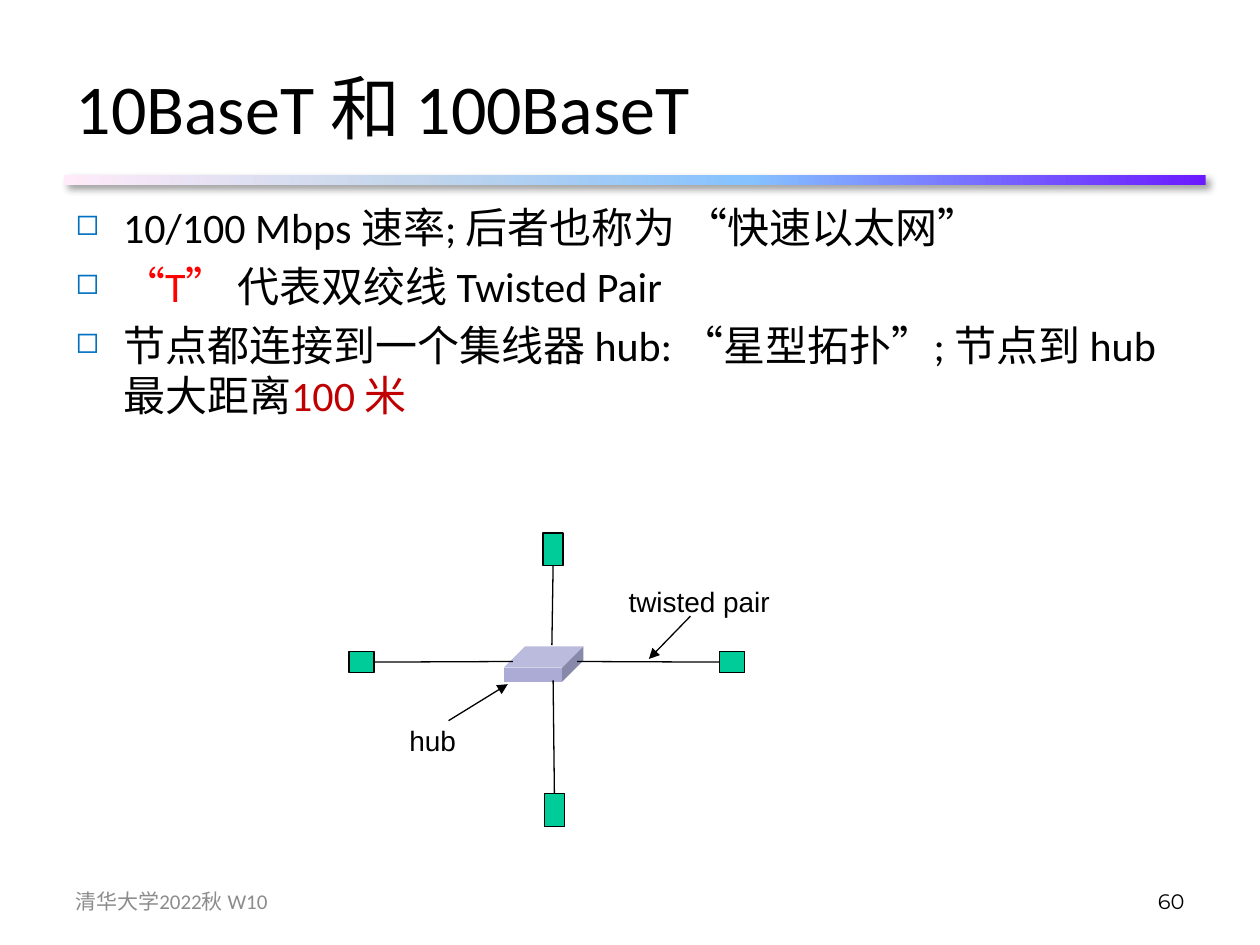
from dataclasses import dataclass

from lxml import etree
from pptx import Presentation
from pptx import util as u
from pptx.dml.color import RGBColor
from pptx.enum import shapes, text
from pptx.oxml import parse_xml
from pptx.oxml.ns import nsdecls, qn


@dataclass(frozen=True)
class Theme:
    black: str = "000000"
    red: str = "FF0000"
    dark_red: str = "C00000"
    bullet: str = "0070C0"
    footer: str = "8C8C8C"
    station: str = "00CC99"
    hub: str = "ABABD6"
    rule_stops: tuple = ((0, "6B19FF"), (40, "85C2FF"), (70, "C4D6EB"), (100, "FFEBFA"))
    body_font: str = "Calibri"
    label_font: str = "Arial"
    number_font: str = "Montserrat"
    title_size: int = 40
    body_size: int = 24
    label_size: int = 16
    footer_size: int = 12
    line_width: float = 0.75


THEME = Theme()


@dataclass(frozen=True)
class Station:
    left: float
    top: float
    width: float
    height: float
    side: int  # connection site that faces the hub
    hub_end: tuple[float, float]


@dataclass(frozen=True)
class Label:
    words: str
    box: tuple[float, float, float, float]
    arrow_start: tuple[float, float]
    arrow_end: tuple[float, float]


@dataclass(frozen=True)
class Run:
    words: str
    color: str = THEME.black


STATIONS = (
    Station(2.77, 5.17, 0.2, 0.17, 3, (4.07, 5.25)),
    Station(5.71, 5.17, 0.2, 0.17, 1, (4.58, 5.25)),
    Station(4.31, 4.23, 0.16, 0.26, 2, (4.38, 5.12)),
    Station(4.32, 6.3, 0.16, 0.26, 0, (4.39, 5.4)),
)
LABELS = (
    Label("twisted pair", (4.89, 4.59, 1.45, 0.37), (5.48, 4.89), (5.15, 5.23)),
    Label("hub", (3.15, 5.69, 0.58, 0.37), (3.56, 5.72), (4.03, 5.43)),
)
BULLETS = (
    (Run("10/100 Mbps 速率; 后者也称为 “快速以太网”"),),
    (Run("“T” ", THEME.red), Run("代表双绞线 Twisted Pair")),
    (Run("节点都连接到一个集线器 hub: “星型拓扑”; 节点到 hub 最大距离"),
     Run("100 米", THEME.dark_red)),
)


def inches(*values: float) -> list:
    return [u.Inches(value) for value in values]


def add_run(paragraph, words: str, *, size: float, font: str = THEME.body_font,
            color: str = THEME.black) -> None:
    run = paragraph.add_run()
    run.text = words
    run.font.size = u.Pt(size)
    run.font.name = font
    run.font.color.rgb = RGBColor.from_string(color)


def add_text(slide, words: str, box: tuple, *, align=text.PP_ALIGN.LEFT,
             anchor=text.MSO_ANCHOR.MIDDLE, wrap: bool = True, **run_format) -> None:
    frame = slide.shapes.add_textbox(*inches(*box)).text_frame
    frame.word_wrap = wrap
    frame.vertical_anchor = anchor
    frame.paragraphs[0].alignment = align
    add_run(frame.paragraphs[0], words, **run_format)


def add_block(slide, kind, box: tuple, color: str, outlined: bool = False):
    shape = slide.shapes.add_shape(kind, *inches(*box))
    shape.shadow.inherit = False
    shape.fill.solid()
    shape.fill.fore_color.rgb = RGBColor.from_string(color)
    if outlined:
        shape.line.color.rgb = RGBColor.from_string(THEME.black)
        shape.line.width = u.Pt(THEME.line_width)
    else:
        shape.line.fill.background()
    return shape


def add_line(slide, start: tuple, end: tuple, arrow: bool = False):
    line = slide.shapes.add_connector(shapes.MSO_CONNECTOR.STRAIGHT, *inches(*start, *end))
    line.line.color.rgb = RGBColor.from_string(THEME.black)
    line.line.width = u.Pt(THEME.line_width)
    properties = line._element.spPr
    etree.SubElement(properties, qn("a:effectLst"))
    if arrow:
        etree.SubElement(properties.find(qn("a:ln")), qn("a:tailEnd"), type="triangle")
    return line


def add_title_rule(slide) -> None:
    """Draw the gradient bar with its soft shadow below the title."""
    bar = add_block(slide, shapes.MSO_SHAPE.RECTANGLE, (0.51, 1.39, 9.06, 0.08), THEME.black)
    bar.fill.gradient()
    bar.fill.gradient_angle = 180
    properties = bar._element.spPr
    stops = properties.find(f"{qn('a:gradFill')}/{qn('a:gsLst')}")
    for stop in list(stops):
        stops.remove(stop)
    for position, color in THEME.rule_stops:
        stop = etree.SubElement(stops, qn("a:gs"), pos=str(position * 1000))
        etree.SubElement(stop, qn("a:srgbClr"), val=color)
    properties.find(qn("a:effectLst")).append(parse_xml(
        f'<a:outerShdw {nsdecls("a")} blurRad="{u.Pt(4)}" dist="{u.Pt(3)}" dir="2700000" '
        f'algn="tl" rotWithShape="0"><a:srgbClr val="{THEME.black}">'
        '<a:alpha val="40000"/></a:srgbClr></a:outerShdw>'))


def add_title(slide, words: str) -> None:
    title = slide.shapes.title
    title.left, title.top, title.width, title.height = inches(0.5, 0.3, 9, 1.09)
    title.text_frame.vertical_anchor = text.MSO_ANCHOR.MIDDLE
    paragraph = title.text_frame.paragraphs[0]
    paragraph.alignment = text.PP_ALIGN.LEFT
    add_run(paragraph, words, size=THEME.title_size)


def set_bullet(paragraph) -> None:
    properties = paragraph._p.get_or_add_pPr()
    properties.set("marL", str(u.Inches(0.38)))
    properties.set("indent", str(-u.Inches(0.38)))
    color = etree.SubElement(properties, qn("a:buClr"))
    etree.SubElement(color, qn("a:srgbClr"), val=THEME.bullet)
    etree.SubElement(properties, qn("a:buSzPct"), val="70000")
    etree.SubElement(properties, qn("a:buChar"), char="◻")


def add_bullets(slide) -> None:
    frame = slide.shapes.add_textbox(*inches(0.5, 1.55, 9, 5.15)).text_frame
    frame.word_wrap = True
    for index, runs in enumerate(BULLETS):
        paragraph = frame.add_paragraph() if index else frame.paragraphs[0]
        set_bullet(paragraph)
        if index:
            paragraph.space_before = u.Pt(THEME.body_size * 0.2)
        for run in runs:
            add_run(paragraph, run.words, size=THEME.body_size, color=run.color)


def add_star_network(slide) -> None:
    hub = add_block(slide, shapes.MSO_SHAPE.CUBE, (4, 5.13, 0.63, 0.28), THEME.hub)
    hub.adjustments[0] = 0.6
    for station in STATIONS:
        box = (station.left, station.top, station.width, station.height)
        node = add_block(slide, shapes.MSO_SHAPE.RECTANGLE, box, THEME.station, outlined=True)
        cable = add_line(slide, station.hub_end, station.hub_end)
        cable.end_connect(node, station.side)
    for label in LABELS:
        add_text(slide, label.words, label.box, anchor=text.MSO_ANCHOR.TOP, wrap=False,
                 size=THEME.label_size, font=THEME.label_font)
        add_line(slide, label.arrow_start, label.arrow_end, arrow=True)


def main() -> None:
    presentation = Presentation()
    presentation.slide_width, presentation.slide_height = inches(10, 7.5)
    slide = presentation.slides.add_slide(presentation.slide_layouts[5])
    add_title_rule(slide)
    add_title(slide, "10BaseT 和 100BaseT")
    add_bullets(slide)
    add_star_network(slide)
    add_text(slide, "60", (7.17, 6.95, 2.33, 0.4), align=text.PP_ALIGN.RIGHT,
             size=THEME.footer_size, font=THEME.number_font)
    add_text(slide, "清华大学2022秋 W10", (0.5, 6.95, 2.33, 0.4),
             size=THEME.footer_size, color=THEME.footer)
    presentation.save("out.pptx")


if __name__ == "__main__":
    main()
